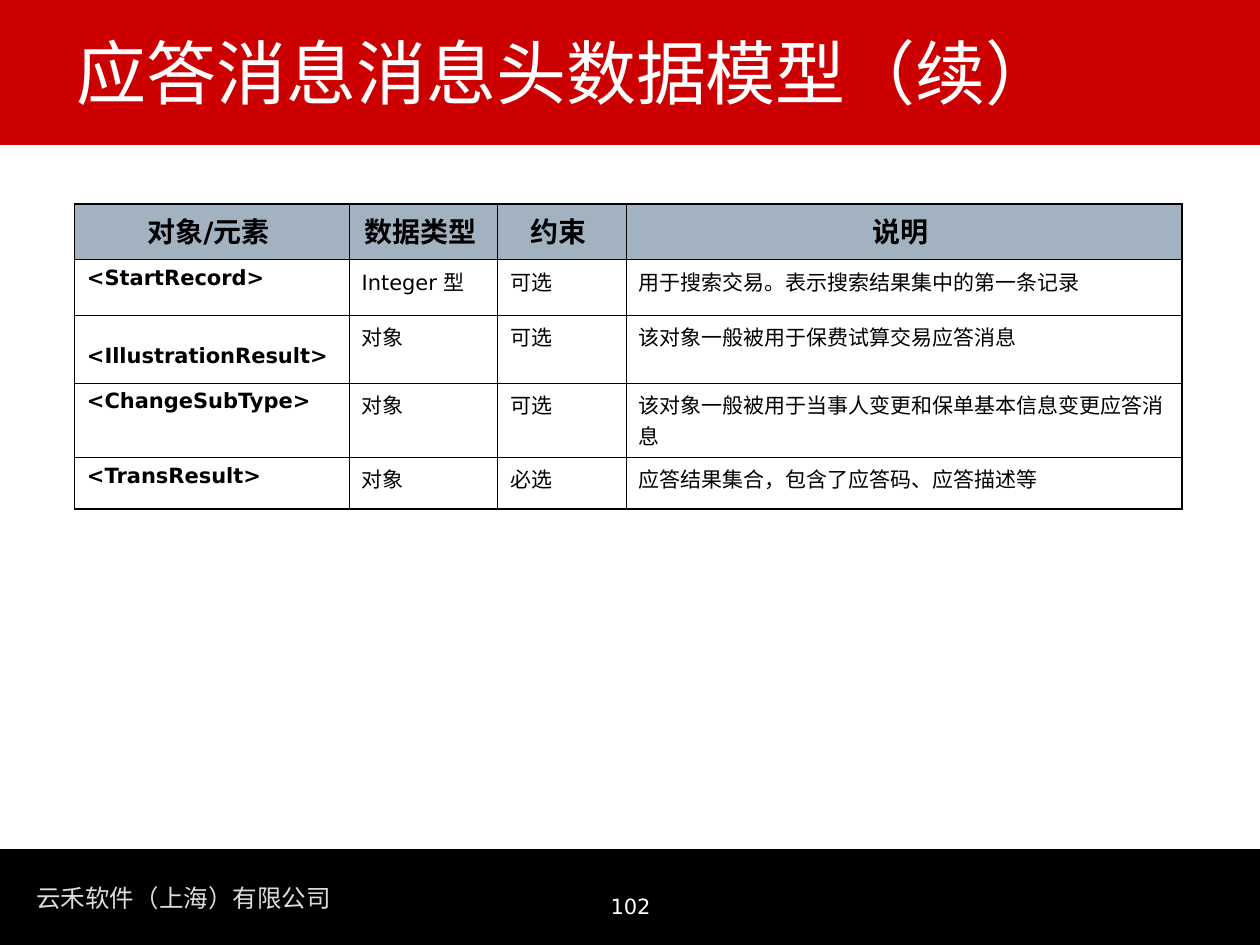
from lxml.etree import SubElement
from pptx import Presentation
from pptx.dml.color import RGBColor
from pptx.enum.shapes import MSO_SHAPE
from pptx.enum.text import MSO_ANCHOR, PP_ALIGN
from pptx.oxml.ns import qn
from pptx.util import Inches, Pt

BLACK = RGBColor(0x00, 0x00, 0x00)
WHITE = RGBColor(0xFF, 0xFF, 0xFF)
RED = RGBColor(0xCC, 0x00, 0x00)
STEEL = RGBColor(0xA3, 0xB2, 0xC1)
SILVER = RGBColor(0xDD, 0xDD, 0xDD)

FONT = "DejaVu Sans"
WIDTH, HEIGHT = 10, 7.5
BANNER_HEIGHT, FOOTER_HEIGHT = 1.15, 0.76
INNER_LINE, OUTER_LINE = 0.45, 1.08

COLUMNS = [2.18, 1.18, 1.02, 4.41]
ROWS = [0.44, 0.44, 0.54, 0.59, 0.41]
HEADER_RIGHT = 0.15
LOWERED_ROW, LOWERED_TOP = 2, 0.23
MODEL = [
    ["对象/元素", "数据类型", "约束", "说明"],
    ["<StartRecord>", "Integer 型", "可选", "用于搜索交易。表示搜索结果集中的第一条记录"],
    ["<IllustrationResult>", "对象", "可选", "该对象一般被用于保费试算交易应答消息"],
    ["<ChangeSubType>", "对象", "可选", "该对象一般被用于当事人变更和保单基本信息变更应答消息"],
    ["<TransResult>", "对象", "必选", "应答结果集合，包含了应答码、应答描述等"],
]


def write(frame, text, size, color=BLACK, bold=False, align=PP_ALIGN.LEFT):
    para = frame.paragraphs[0]
    para.alignment = align
    span = para.add_run()
    span.text = text
    span.font.name = FONT
    span.font.size = Pt(size)
    span.font.bold = bold
    span.font.color.rgb = color


def add_band(page, left, top, width, height, color):
    band = page.shapes.add_shape(MSO_SHAPE.RECTANGLE, Inches(left), Inches(top),
                                 Inches(width), Inches(height))
    band.shadow.inherit = False
    band.fill.solid()
    band.fill.fore_color.rgb = color
    band.line.fill.background()


def add_text(page, left, top, width, height, text, anchor=MSO_ANCHOR.TOP,
             wrap=True, **style):
    box = page.shapes.add_textbox(Inches(left), Inches(top), Inches(width), Inches(height))
    box.text_frame.word_wrap = wrap
    box.text_frame.vertical_anchor = anchor
    write(box.text_frame, text, **style)


def add_banner(page, left, top, width, height):
    add_band(page, left, top, width, height, RED)
    add_text(page, left + 0.51, top + 0.28, width * 0.875, 0.67,
             "应答消息消息头数据模型（续）", anchor=MSO_ANCHOR.BOTTOM, size=40, color=WHITE)


def add_footer(page, left, top, width, height):
    add_band(page, left, top, width, height, BLACK)
    add_text(page, left + 0.19, top + 0.22, 2.54, 0.34, "云禾软件（上海）有限公司",
             wrap=False, size=14, color=SILVER)
    add_text(page, left + 3.42, top + 0.08, 3.17, 0.52, "102", anchor=MSO_ANCHOR.BOTTOM,
             size=12, color=WHITE, align=PP_ALIGN.CENTER)


def set_borders(cell, outer_sides):
    properties = cell._tc.get_or_add_tcPr()
    for side in "LRTB":
        weight = OUTER_LINE if side in outer_sides else INNER_LINE
        line = SubElement(properties, qn(f"a:ln{side}"), w=str(Pt(weight)))
        fill = SubElement(line, qn("a:solidFill"))
        SubElement(fill, qn("a:srgbClr"), val=str(BLACK))


def outer_sides(row, column):
    edges = {"L": column == 0, "R": column == len(COLUMNS) - 1,
             "T": row == 0, "B": row == len(ROWS) - 1}
    return [side for side, is_outer in edges.items() if is_outer]


def add_model_table(page, left, top):
    table = page.shapes.add_table(len(ROWS), len(COLUMNS), Inches(left), Inches(top),
                                  Inches(sum(COLUMNS)), Inches(sum(ROWS))).table
    table.first_row = table.horz_banding = False
    for column, width in zip(table.columns, COLUMNS):
        column.width = Inches(width)
    for row, height in zip(table.rows, ROWS):
        row.height = Inches(height)
    for r, texts in enumerate(MODEL):
        for c, text in enumerate(texts):
            cell = table.cell(r, c)
            set_borders(cell, outer_sides(r, c))
            if r == 0:
                cell.fill.solid()
                cell.fill.fore_color.rgb = STEEL
                cell.margin_right = Inches(HEADER_RIGHT)
                write(cell.text_frame, text, size=16, bold=True, align=PP_ALIGN.CENTER)
            else:
                cell.fill.background()
                write(cell.text_frame, text, size=12, bold=c == 0)
    table.cell(LOWERED_ROW, 0).margin_top = Inches(LOWERED_TOP)


def main():
    deck = Presentation()
    deck.slide_width, deck.slide_height = Inches(WIDTH), Inches(HEIGHT)
    page = deck.slides.add_slide(deck.slide_layouts[6])
    add_footer(page, 0, HEIGHT - FOOTER_HEIGHT, WIDTH, FOOTER_HEIGHT)
    add_banner(page, 0, 0, WIDTH, BANNER_HEIGHT)
    add_model_table(page, 0.59, 1.62)
    deck.save("out.pptx")


if __name__ == "__main__":
    main()
